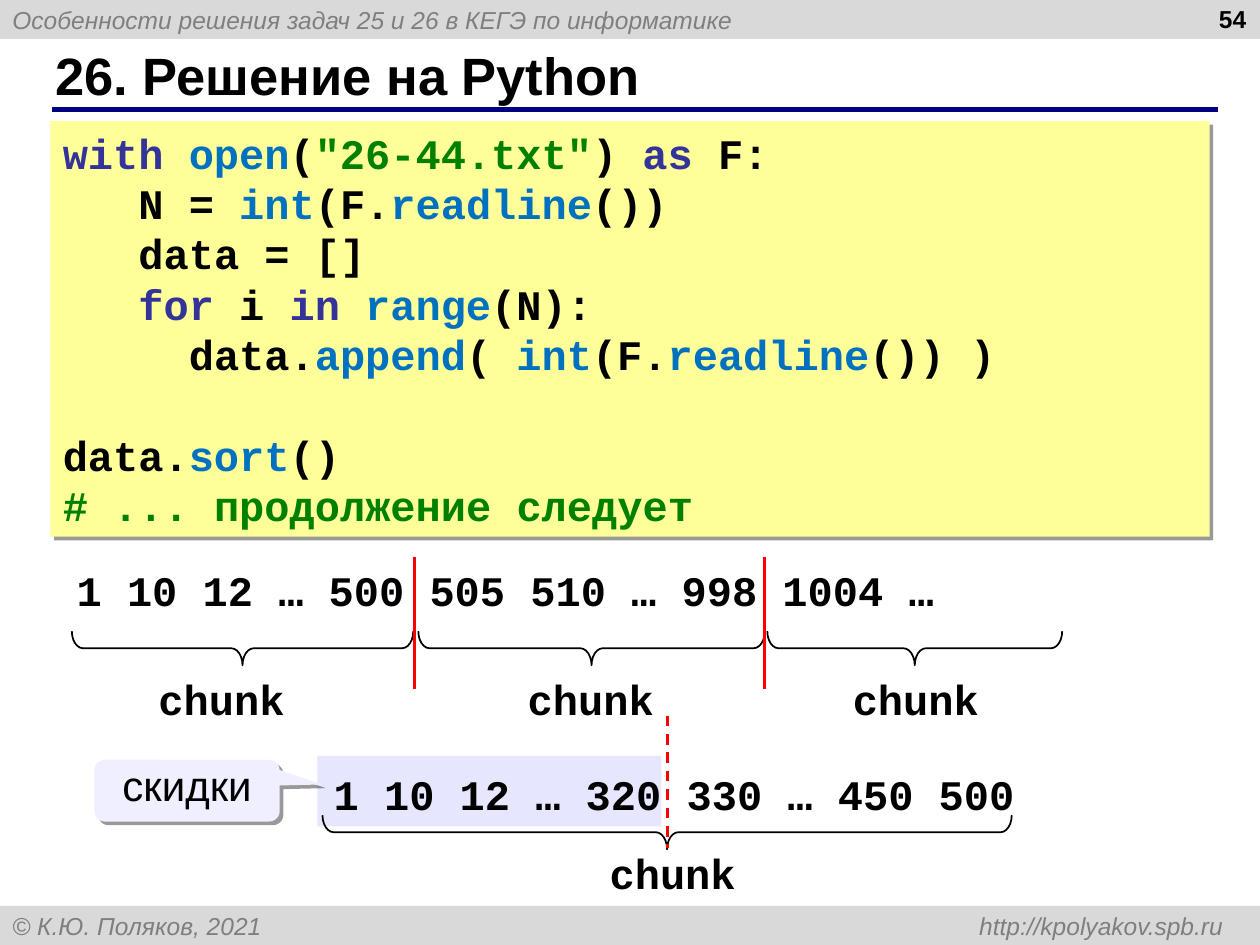
from lxml.etree import SubElement
from pptx import Presentation
from pptx.dml.color import RGBColor
from pptx.enum.dml import MSO_LINE
from pptx.enum.shapes import MSO_CONNECTOR, MSO_SHAPE
from pptx.enum.text import MSO_ANCHOR, PP_ALIGN
from pptx.oxml.ns import qn
from pptx.util import Inches, Pt

BLACK = RGBColor(0x00, 0x00, 0x00)
GREY = RGBColor(0x7F, 0x7F, 0x7F)
BAND = RGBColor(0xD9, 0xD9, 0xD9)
NAVY = RGBColor(0x00, 0x00, 0x80)
RED = RGBColor(0xFF, 0x00, 0x00)
YELLOW = RGBColor(0xFF, 0xFF, 0x99)
LILAC = RGBColor(0xE6, 0xE6, 0xFF)
PALE_LILAC = RGBColor(0xEF, 0xEF, 0xFF)
KEYWORD = RGBColor(0x33, 0x33, 0x99)
FUNCTION = RGBColor(0x00, 0x70, 0xC0)
GREEN = RGBColor(0x00, 0x80, 0x00)
SANS, MONO = "Arial", "Courier New"

HEADER = "Особенности решения задач 25 и 26 в КЕГЭ по информатике"
FOOTER = "© К.Ю. Поляков, 2021 \thttp://kpolyakov.spb.ru"
TITLE = "26. Решение на Python"
PAGE = "54"
CODE = [
    [("with ", KEYWORD), ("open", FUNCTION), ("(", BLACK), ('"26-44.txt"', GREEN),
     (") ", BLACK), ("as", KEYWORD), (" F:", BLACK)],
    [("   N = ", BLACK), ("int", FUNCTION), ("(F.", BLACK), ("readline", FUNCTION),
     ("())", BLACK)],
    [("   data = []", BLACK)],
    [("   ", BLACK), ("for", KEYWORD), (" i ", BLACK), ("in ", KEYWORD),
     ("range", FUNCTION), ("(N):", BLACK)],
    [("     data.", BLACK), ("append", FUNCTION), ("( ", BLACK), ("int", FUNCTION),
     ("(F.", BLACK), ("readline", FUNCTION), ("()) )", BLACK)],
    [],
    [("data.", BLACK), ("sort", FUNCTION), ("()", BLACK)],
    [("# ... продолжение следует", GREEN)],
]
NUMBERS = [
    ("1 10 12 … 500 505 510 … 998 1004 …", 0.51, 4.43, 7.2),
    ("1 10 12 … 320 330 … 450 500", 2.55, 6.05, 5.6),
]
CHUNK = "chunk"
CHUNK_WIDTH = 1.2
BRACES = [
    (0.57, 3.28, 5.01, 1.16, 5.3),
    (3.32, 6.07, 5.01, 4.09, 5.3),
    (6.09, 8.43, 5.01, 6.67, 5.3),
    (2.56, 8.03, 6.47, 4.74, 6.68),
]
BRACE_DEPTH = 0.27
DIVIDERS = [(3.29, 4.42, None), (6.07, 4.42, None), (5.3, 5.68, MSO_LINE.DASH)]
DIVIDER_HEIGHT = 1.05
DISCOUNTS = "скидки"


def format_font(font, size, color, name=SANS, bold=False, italic=False):
    font.name, font.size, font.bold, font.italic = name, Pt(size), bold, italic
    font.color.rgb = color


def write(frame, text, size, color, align=PP_ALIGN.LEFT, **style):
    frame.text = text
    paragraph = frame.paragraphs[0]
    paragraph.alignment = align
    format_font(paragraph.runs[0].font, size, color, **style)
    return paragraph


def add_filled(slide, kind, box, color):
    shape = slide.shapes.add_shape(kind, *map(Inches, box))
    shape.shadow.inherit = False
    shape.fill.solid()
    shape.fill.fore_color.rgb = color
    shape.line.fill.background()
    return shape


def add_shadow(shape):
    effects = shape.element.spPr.find(qn("a:effectLst"))
    shadow = SubElement(effects, qn("a:outerShdw"), blurRad="0", dist=str(Pt(3)),
                        dir="2700000", algn="tl", rotWithShape="0")
    tint = SubElement(shadow, qn("a:srgbClr"), val="000000")
    SubElement(tint, qn("a:alpha"), val="40000")


def add_line(slide, start, end, color, width, dash=None):
    line = slide.shapes.add_connector(MSO_CONNECTOR.STRAIGHT, *map(Inches, start + end))
    line.line.color.rgb = color
    line.line.width = Pt(width)
    if dash:
        line.line.dash_style = dash
    SubElement(line.element.spPr, qn("a:effectLst"))


def add_label(slide, text, left, top, width):
    label = slide.shapes.add_textbox(*map(Inches, (left, top, width, 0.5)))
    label.text_frame.word_wrap = False
    write(label.text_frame, text, 24, BLACK, name=MONO, bold=True)


def add_brace(slide, left, right, top):
    span = right - left
    box = ((left + right - BRACE_DEPTH) / 2, top + (BRACE_DEPTH - span) / 2,
           BRACE_DEPTH, span)
    brace = slide.shapes.add_shape(MSO_SHAPE.LEFT_BRACE, *map(Inches, box))
    brace.rotation = 270
    brace.adjustments[0] = 0.33
    brace.shadow.inherit = False
    brace.fill.background()
    brace.line.color.rgb = BLACK
    brace.line.width = Pt(1)


def add_code(slide):
    code = add_filled(slide, MSO_SHAPE.RECTANGLE, (0.4, 0.96, 9.2, 3.3), YELLOW)
    add_shadow(code)
    frame = code.text_frame
    frame.vertical_anchor = MSO_ANCHOR.TOP
    for index, tokens in enumerate(CODE):
        paragraph = frame.add_paragraph() if index else frame.paragraphs[0]
        paragraph.alignment = PP_ALIGN.LEFT
        for text, color in tokens:
            run = paragraph.add_run()
            run.text = text
            format_font(run.font, 24, color, name=MONO, bold=True)
        if not tokens:
            ending = SubElement(paragraph._p, qn("a:endParaRPr"), sz="2400", b="1")
            SubElement(ending, qn("a:latin"), typeface=MONO)


def main():
    deck = Presentation()
    deck.slide_width, deck.slide_height = Inches(10), Inches(7.5)
    slide = deck.slides.add_slide(deck.slide_layouts[5])

    for text, top in ((HEADER, 0), (FOOTER, 7.19)):
        band = add_filled(slide, MSO_SHAPE.RECTANGLE, (0, top, 10, 0.31), BAND)
        paragraph = write(band.text_frame, text, 14, GREY, italic=True)
        if "\t" in text:
            tabs = SubElement(paragraph._p.get_or_add_pPr(), qn("a:tabLst"))
            SubElement(tabs, qn("a:tab"), pos=str(Inches(9.61)), algn="r")
    add_line(slide, (0.41, 0.87), (9.67, 0.87), NAVY, 3)

    title = slide.shapes.title
    title.left, title.top, title.width, title.height = map(Inches, (0.34, 0.33, 9.16, 0.52))
    title.text_frame.vertical_anchor = MSO_ANCHOR.MIDDLE
    write(title.text_frame, TITLE, 30, BLACK, bold=True)

    page = slide.shapes.add_textbox(*map(Inches, (7.66, -0.02, 2.33, 0.52)))
    page.text_frame.word_wrap = True
    write(page.text_frame, PAGE, 14, BLACK, PP_ALIGN.RIGHT, bold=True)

    add_code(slide)
    add_filled(slide, MSO_SHAPE.RECTANGLE, (2.52, 6, 2.73, 0.56), LILAC)
    for numbers in NUMBERS:
        add_label(slide, *numbers)
    for left, right, top, label_left, label_top in BRACES:
        add_brace(slide, left, right, top)
        add_label(slide, CHUNK, label_left, label_top, CHUNK_WIDTH)
    for x, top, dash in DIVIDERS:
        add_line(slide, (x, top), (x, top + DIVIDER_HEIGHT), RED, 1.5, dash)

    discounts = add_filled(slide, MSO_SHAPE.ROUNDED_RECTANGULAR_CALLOUT,
                           (0.75, 6.03, 1.47, 0.49), PALE_LILAC)
    for index, value in enumerate((0.73, -0.1, 0.17)):
        discounts.adjustments[index] = value
    add_shadow(discounts)
    discounts.text_frame.vertical_anchor = MSO_ANCHOR.TOP
    write(discounts.text_frame, DISCOUNTS, 24, BLACK, PP_ALIGN.CENTER).line_spacing = 0.8

    deck.save("out.pptx")


if __name__ == "__main__":
    main()
